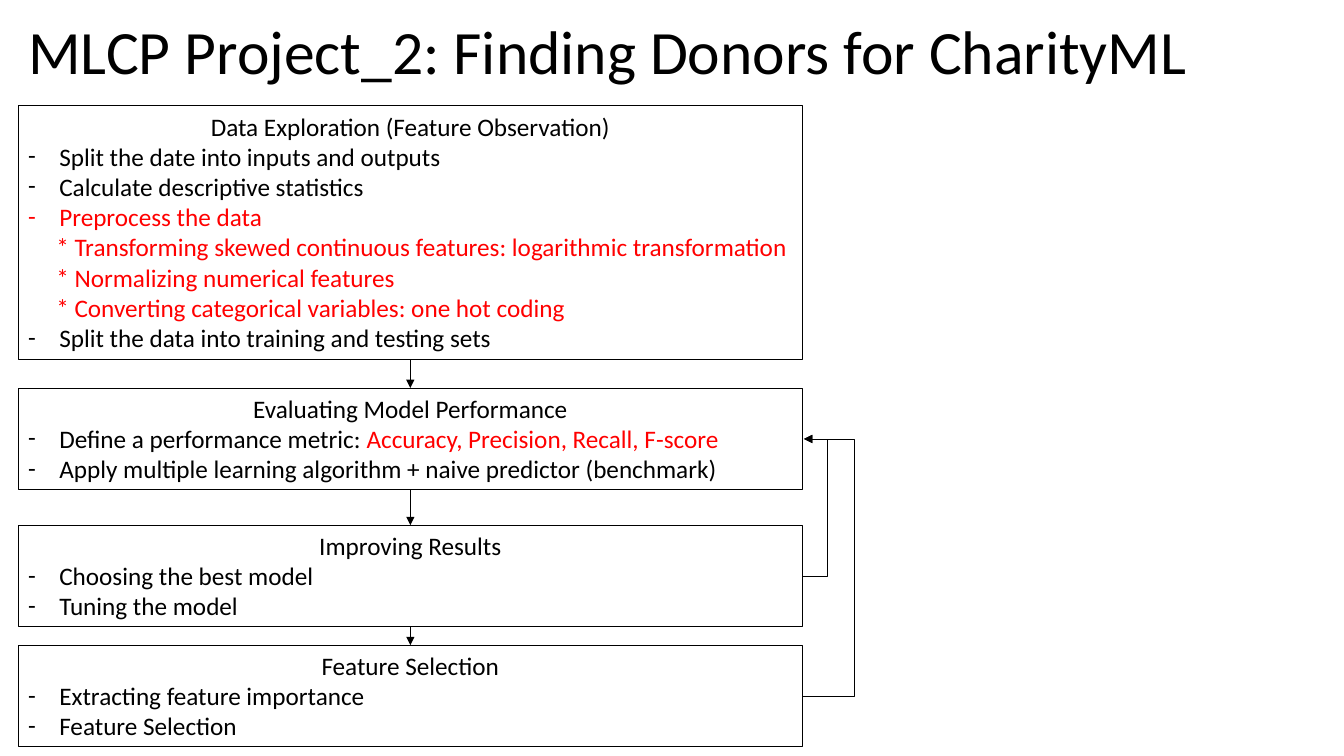
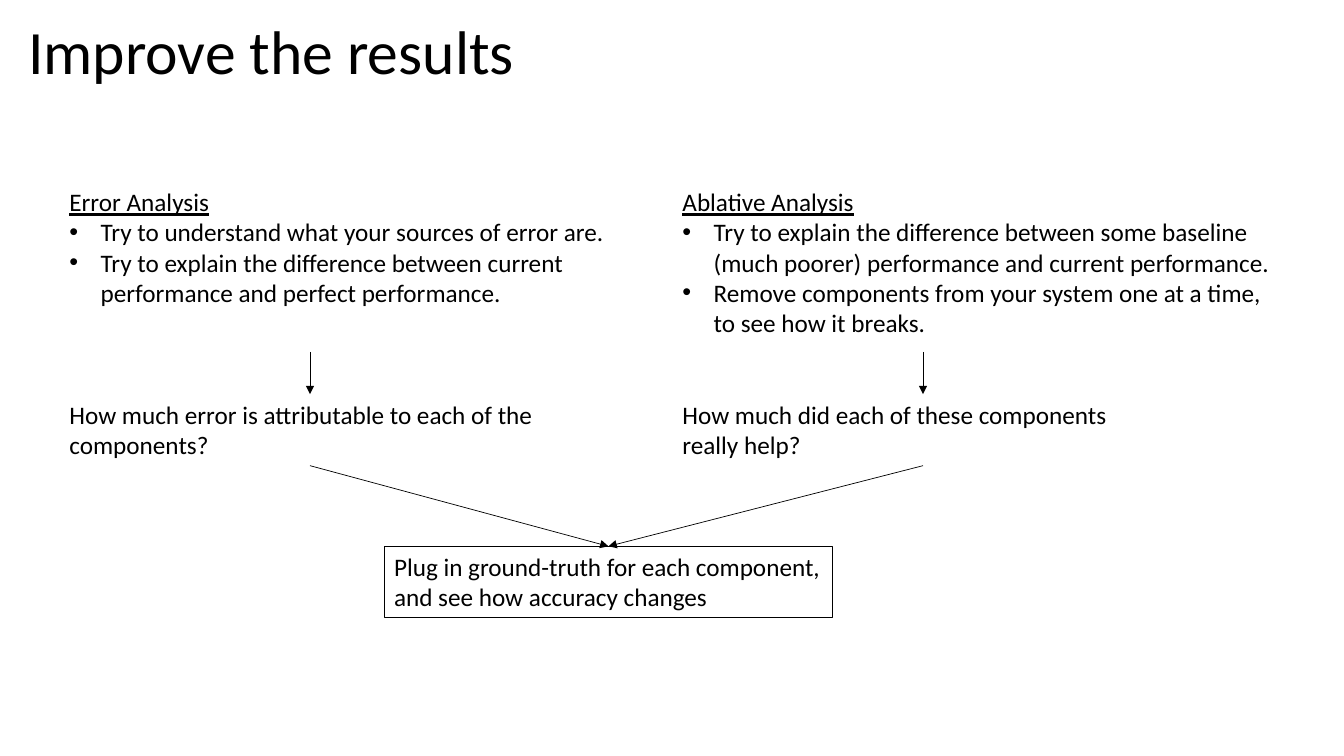
from lxml import etree
from pptx import Presentation
from pptx.dml.color import RGBColor
from pptx.enum.shapes import MSO_CONNECTOR
from pptx.enum.text import MSO_ANCHOR, MSO_AUTO_SIZE, PP_ALIGN
from pptx.oxml.ns import qn
from pptx.util import Inches, Pt

STRAIGHT, ELBOW = MSO_CONNECTOR.STRAIGHT, MSO_CONNECTOR.ELBOW
LEFT, CENTER = PP_ALIGN.LEFT, PP_ALIGN.CENTER
MIDDLE, TOP = MSO_ANCHOR.MIDDLE, MSO_ANCHOR.TOP
NO_FIT, GROW = MSO_AUTO_SIZE.NONE, MSO_AUTO_SIZE.SHAPE_TO_FIT_TEXT

COLORS = {"text": "000000", "accent": "FF0000", "line": "000000"}
FONT = "Calibri"
BULLET_FONTS = {"-": FONT, "•": "Arial"}
TITLE_SIZE, BODY_SIZE = 44, 18
BULLET_INDENT, SUB_INDENT = 0.31, 0.28
SITE_TOP, SITE_BOTTOM, SITE_RIGHT = 0, 2, 3


def rgb(name):
    return RGBColor.from_string(COLORS[name])


def add_run(p, text, color="text", size=BODY_SIZE, underline=None):
    r = p.add_run()
    r.text = text
    r.font.name = FONT
    r.font.size = Pt(size)
    r.font.color.rgb = rgb(color)
    r.font.underline = underline


def indent(p, left, bullet=None):
    pPr = p._p.get_or_add_pPr()
    pPr.set("marL", str(Inches(left)))
    if bullet:
        pPr.set("indent", str(-Inches(left)))
        etree.SubElement(pPr, qn("a:buFont")).set("typeface", BULLET_FONTS[bullet])
        etree.SubElement(pPr, qn("a:buChar")).set("char", bullet)


def para(*runs, bullet=None, left=0, align=LEFT, underline=None):
    """Describe one paragraph; each run is (text, colour name)."""
    return {"runs": runs, "bullet": bullet, "left": left,
            "align": align, "underline": underline}


def item(bullet, *runs):
    return para(*runs, bullet=bullet, left=BULLET_INDENT)


def add_title(s, text):
    sp = s.shapes.title
    sp.left, sp.top = Inches(0.18), Inches(0.14)
    sp.width, sp.height = Inches(12.91), Inches(0.8)
    tf = sp.text_frame
    tf.auto_size, tf.vertical_anchor = NO_FIT, MIDDLE
    p = tf.paragraphs[0]
    p.alignment, p.line_spacing = LEFT, 0.9
    add_run(p, text, size=TITLE_SIZE)


def add_text(s, x, y, w, h, paras, border=False):
    sp = s.shapes.add_textbox(Inches(x), Inches(y), Inches(w), Inches(h))
    if border:
        sp.line.color.rgb = rgb("line")
        sp.line.width = Pt(0.75)
    tf = sp.text_frame
    tf.word_wrap, tf.auto_size, tf.vertical_anchor = True, GROW, TOP
    for i, content in enumerate(paras):
        p = tf.paragraphs[0] if i == 0 else tf.add_paragraph()
        p.alignment = content["align"]
        if content["left"]:
            indent(p, content["left"], content["bullet"])
        for text, color in content["runs"]:
            add_run(p, text, color, underline=content["underline"])
    return sp


def site_point(sp, site):
    """Middle of a side of a rectangle."""
    middle_x, middle_y = sp.left + sp.width // 2, sp.top + sp.height // 2
    return {SITE_TOP: (middle_x, sp.top),
            SITE_BOTTOM: (middle_x, sp.top + sp.height),
            SITE_RIGHT: (sp.left + sp.width, middle_y)}[site]


def add_arrow(s, end, begin=None, start=None, kind=STRAIGHT):
    """Arrow from a (shape, site) or a free point to a (shape, site)."""
    start = site_point(*begin) if begin else start
    cxn = s.shapes.add_connector(kind, *start, *site_point(*end))
    if begin:
        cxn.begin_connect(*begin)
    cxn.end_connect(*end)
    cxn.line.color.rgb = rgb("line")
    cxn.line.width = Pt(0.5)
    ln = cxn.line._get_or_add_ln()
    etree.SubElement(ln, qn("a:tailEnd")).set("type", "triangle")
    etree.SubElement(cxn._element.spPr, qn("a:effectLst"))
    return cxn


def add_loop_back(s, source, target, reach):
    """Elbow arrow that leaves and returns on the right-hand side."""
    cxn = add_arrow(s, (target, SITE_RIGHT), begin=(source, SITE_RIGHT), kind=ELBOW)
    cxn.width = Pt(1)  # the bend is a share of the width, so it cannot be zero
    ratio = round(Inches(reach) / cxn.width * 100000)
    av = cxn._element.spPr.find(qn("a:prstGeom")).get_or_add_avLst()
    gd = etree.SubElement(av, qn("a:gd"))
    gd.set("name", "adj1")
    gd.set("fmla", f"val {ratio}")


def build_workflow(s):
    add_title(s, "MLCP Project_2: Finding Donors for CharityML")

    # Steps: top, height, heading, details
    steps = [
        (1.05, 2.52, "Data Exploration (Feature Observation)", [
            item("-", ("Split the date into inputs and outputs", "text")),
            item("-", ("Calculate descriptive statistics", "text")),
            item("-", ("Preprocess the data", "accent")),
            *[para((text, "accent"), left=SUB_INDENT) for text in (
                "* Transforming skewed continuous features: logarithmic transformation",
                "* Normalizing numerical features",
                "* Converting categorical variables: one hot coding")],
            item("-", ("Split the data into training and testing sets", "text"))]),
        (3.85, 1.01, "Evaluating Model Performance", [
            item("-", ("Define a performance metric: ", "text"),
                 ("Accuracy, Precision, Recall, F-score", "accent")),
            item("-", ("Apply multiple learning algorithm + naive predictor (benchmark)",
                       "text"))]),
        (5.21, 1.01, "Improving Results", [
            item("-", ("Choosing the best model", "text")),
            item("-", ("Tuning the model", "text"))]),
        (6.4, 1.01, "Feature Selection", [
            item("-", ("Extracting feature importance", "text")),
            item("-", ("Feature Selection", "text"))]),
    ]
    boxes = [add_text(s, 0.18, y, 7.78, h,
                      [para((heading, "text"), align=CENTER), *details], border=True)
             for y, h, heading, details in steps]

    # Forward arrows, then feedback to the evaluation step
    for upper, lower in zip(boxes, boxes[1:]):
        add_arrow(s, (lower, SITE_TOP), begin=(upper, SITE_BOTTOM))
    _, evaluation, improving, selection = boxes
    add_loop_back(s, improving, evaluation, 0.25)
    add_loop_back(s, selection, evaluation, 0.52)


def build_analysis(s):
    add_title(s, "Improve the results")
    conclusion = add_text(s, 3.81, 5.42, 4.45, 0.71, [
        para(("Plug in ground-truth for each component, and see how accuracy changes",
              "text"))], border=True)

    # Columns: left, height, heading, points, question
    columns = [
        (0.59, 1.31, "Error Analysis",
         ["Try to understand what your sources of error are.",
          "Try to explain the difference between current performance and "
          "perfect performance."],
         "How much error is attributable to each of the components?"),
        (6.67, 1.62, "Ablative Analysis",
         ["Try to explain the difference between some baseline (much poorer) "
          "performance and current performance.",
          "Remove components from your system one at a time, to see how it breaks."],
         "How much did each of these components really help?"),
    ]
    for x, h, heading, points, question in columns:
        add_text(s, x, 1.8, 6.08, h, [
            para((heading, "text"), underline=True),
            *[item("•", (point, "text")) for point in points]])
        box = add_text(s, x, 3.91, 4.97, 0.71, [para((question, "text"))])
        middle_x, _ = site_point(box, SITE_TOP)
        add_arrow(s, (box, SITE_TOP), start=(middle_x, Inches(3.49)))
        add_arrow(s, (conclusion, SITE_TOP), begin=(box, SITE_BOTTOM))


def main():
    prs = Presentation()
    prs.slide_width, prs.slide_height = Inches(13.33), Inches(7.5)
    title_only = prs.slide_layouts[5]
    for build in (build_workflow, build_analysis):
        build(prs.slides.add_slide(title_only))
    prs.save("out.pptx")


if __name__ == "__main__":
    main()
